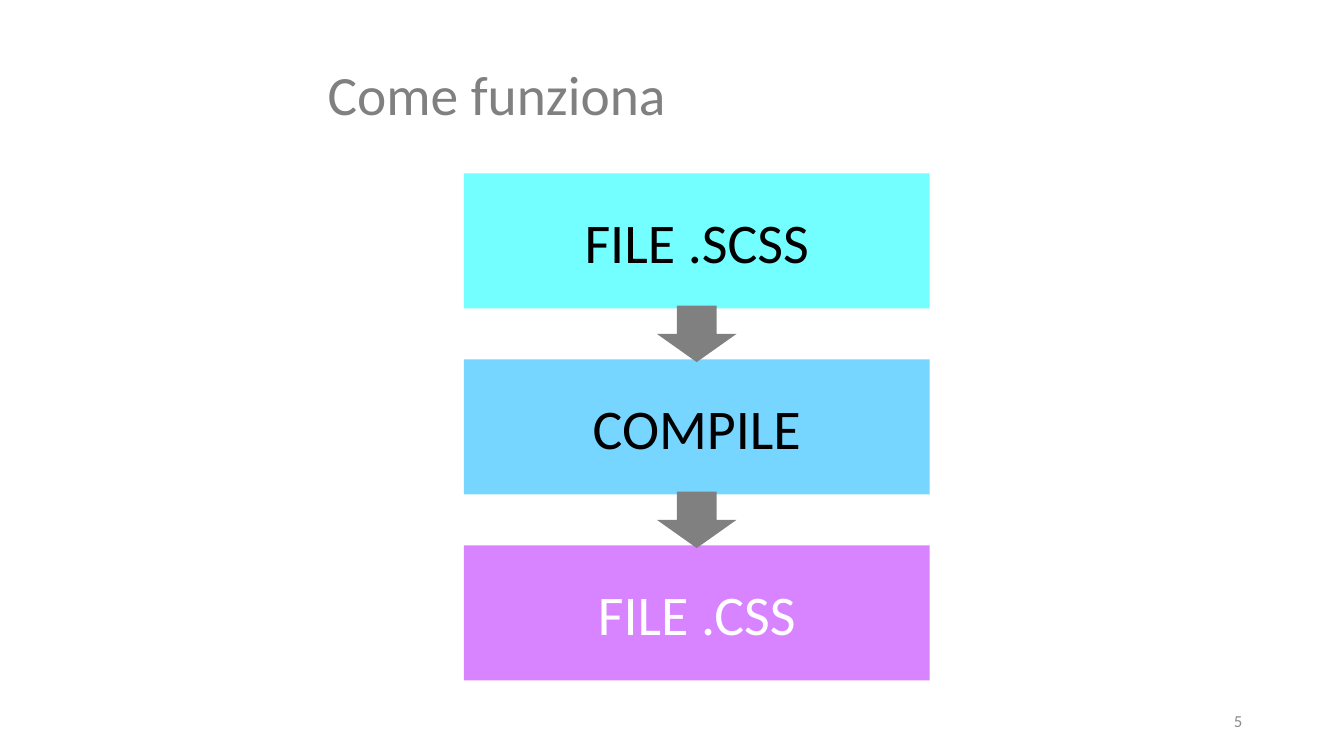
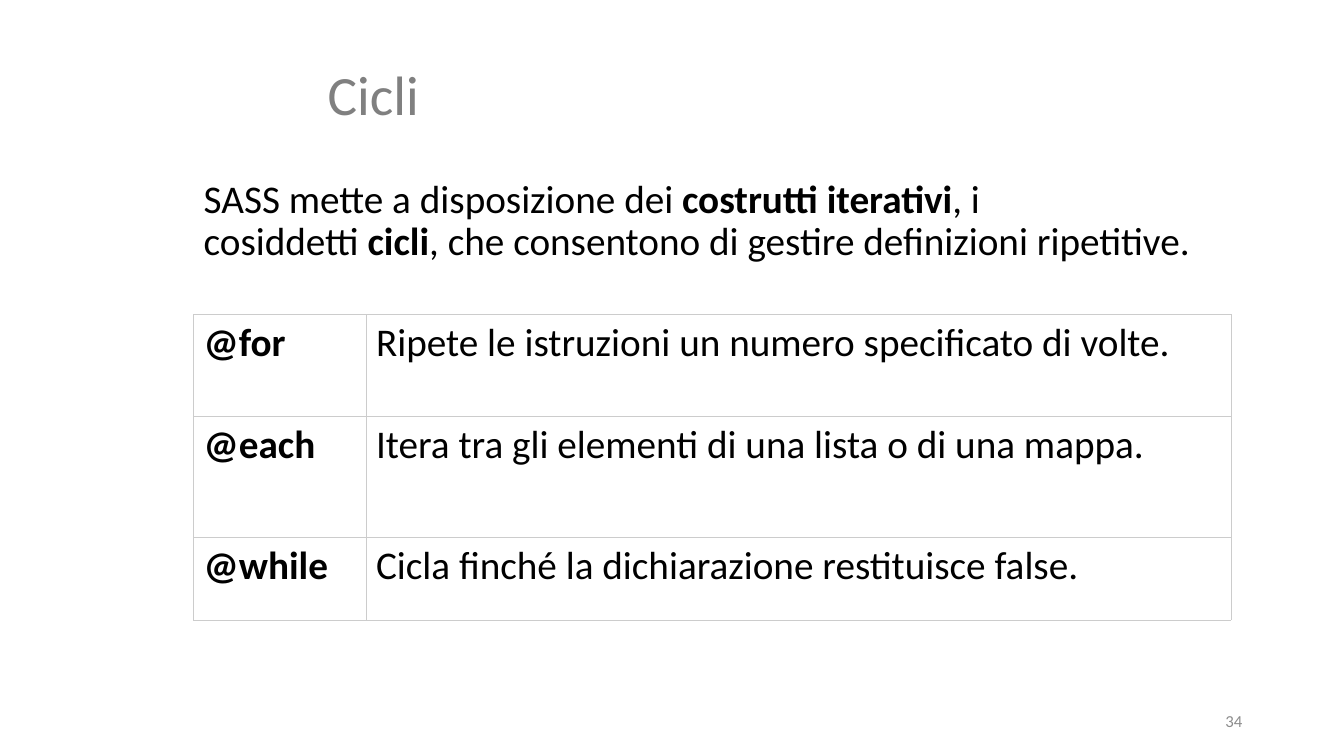
from lxml import etree
from pptx import Presentation
from pptx.dml.color import RGBColor
from pptx.enum.shapes import MSO_SHAPE
from pptx.enum.text import MSO_ANCHOR, MSO_AUTO_SIZE, PP_ALIGN
from pptx.oxml.ns import qn
from pptx.util import Inches, Pt

RECTANGLE, DOWN_ARROW = MSO_SHAPE.RECTANGLE, MSO_SHAPE.DOWN_ARROW
LEFT, CENTER, RIGHT = PP_ALIGN.LEFT, PP_ALIGN.CENTER, PP_ALIGN.RIGHT
TOP, MIDDLE = MSO_ANCHOR.TOP, MSO_ANCHOR.MIDDLE
CONTENT_LAYOUT, TITLE_ONLY_LAYOUT = 1, 5

FONT = "Calibri"
BLACK, WHITE, GRAY = "000000", "FFFFFF", "808080"
NUMBER_GRAY, BORDER_GRAY = "8C8C8C", "CCCCCC"

# Content
FLOW_TITLE, FLOW_NUMBER = "Come funziona", "5"
FLOW_STEPS = [
    ("FILE .SCSS", "73FEFF", BLACK),
    ("COMPILE", "76D6FF", BLACK),
    ("FILE .CSS", "D883FF", WHITE),
]
LOOPS_TITLE, LOOPS_NUMBER = "Cicli", "34"
LOOPS_INTRO = [
    ("SASS mette a disposizione dei ", False),
    ("costrutti iterativi", True),
    (", i cosiddetti\u00a0", False),
    ("cicli", True),
    (", che consentono di gestire definizioni ripetitive.", False),
]
LOOPS = [
    ("@for", "Ripete le istruzioni un numero specificato di volte."),
    ("@each", "Itera tra gli elementi di una lista o di una mappa."),
    ("@while", "Cicla finché la dichiarazione restituisce false."),
]

# Layout, in inches
TITLE_BOX = (3.15, 0.68, 9.08, 0.58)
NUMBER_BOX = (9.42, 6.95, 3, 0.4)
STEP_LEFT, STEP_WIDTH, STEP_HEIGHT = 4.6, 4.62, 1.34
FLOW_TOP, FLOW_BOTTOM = 1.72, 6.75
ARROW_WIDTH, ARROW_HEIGHT = 0.79, 0.56
INTRO_BOX = (1.92, 1.73, 10.31, 4.81)
TABLE_LEFT, TABLE_TOP = 1.92, 3.12
COLUMN_WIDTHS, ROW_HEIGHTS = (1.71, 8.58), (1.01, 1.2, 0.82)


def color(hex_string):
    """Turn a hex string into a colour."""
    return RGBColor.from_string(hex_string)


def place(shape, box):
    """Move and size a shape to a box given in inches."""
    shape.left, shape.top, shape.width, shape.height = map(Inches, box)


def format_runs(paragraph, size, hex_string, bold=False):
    """Apply font, size, colour and weight to every run of a paragraph."""
    for run in paragraph.runs:
        run.font.name, run.font.size = FONT, Pt(size)
        run.font.bold = bold
        run.font.color.rgb = color(hex_string)


def write(text_frame, text, size, hex_string, align=LEFT, anchor=MIDDLE):
    """Set one formatted paragraph in a text frame."""
    text_frame.text = text
    text_frame.word_wrap = True
    text_frame.auto_size = MSO_AUTO_SIZE.NONE
    text_frame.vertical_anchor = anchor
    paragraph = text_frame.paragraphs[0]
    paragraph.alignment = align
    format_runs(paragraph, size, hex_string)
    return paragraph


def add_slide(presentation, layout, title, number):
    """Add a slide with the shared title and page number."""
    slide = presentation.slides.add_slide(presentation.slide_layouts[layout])
    place(slide.shapes.title, TITLE_BOX)
    write(slide.shapes.title.text_frame, title, 39.6, GRAY).line_spacing = 0.9
    number_box = slide.shapes.add_textbox(*map(Inches, NUMBER_BOX))
    write(number_box.text_frame, number, 12, NUMBER_GRAY, RIGHT)
    return slide


def add_block(slide, kind, box, fill):
    """Add a flat filled shape without outline or shadow."""
    shape = slide.shapes.add_shape(kind, *map(Inches, box))
    shape.shadow.inherit = False
    shape.fill.solid()
    shape.fill.fore_color.rgb = color(fill)
    shape.line.fill.background()
    return shape


def add_flow(slide):
    """Stack the steps evenly, with an arrow centred on each gap."""
    pitch = (FLOW_BOTTOM - FLOW_TOP - STEP_HEIGHT) / (len(FLOW_STEPS) - 1)
    tops = [FLOW_TOP + index * pitch for index in range(len(FLOW_STEPS))]
    for top, (label, fill, text_color) in zip(tops, FLOW_STEPS):
        step = add_block(slide, RECTANGLE, (STEP_LEFT, top, STEP_WIDTH, STEP_HEIGHT), fill)
        write(step.text_frame, label, 40, text_color, CENTER)
    arrow_left = STEP_LEFT + (STEP_WIDTH - ARROW_WIDTH) / 2
    for top in tops[1:]:
        gap_middle = top - (pitch - STEP_HEIGHT) / 2
        arrow_top = gap_middle - ARROW_HEIGHT / 2
        add_block(slide, DOWN_ARROW, (arrow_left, arrow_top, ARROW_WIDTH, ARROW_HEIGHT), GRAY)


def add_intro(slide):
    """Fill the body placeholder with the introduction, without a bullet."""
    body = slide.placeholders[1]
    place(body, INTRO_BOX)
    paragraph = write(body.text_frame, "", 28, BLACK, anchor=TOP)
    paragraph.line_spacing, paragraph.space_before = 0.9, Pt(10)
    for text, _ in LOOPS_INTRO:
        paragraph.add_run().text = text
    format_runs(paragraph, 28, BLACK)
    for run, (_, bold) in zip(paragraph.runs, LOOPS_INTRO):
        run.font.bold = bold
    properties = paragraph._p.get_or_add_pPr()
    properties.set("marL", "0")
    properties.set("indent", "0")
    etree.SubElement(properties, qn("a:buNone"))


def add_borders(cell):
    """Draw a thin line on all four sides of a cell."""
    properties = cell._tc.get_or_add_tcPr()
    for index, side in enumerate(("a:lnL", "a:lnR", "a:lnT", "a:lnB")):
        line = etree.Element(qn(side), w=str(Pt(0.5)))
        fill = etree.SubElement(line, qn("a:solidFill"))
        etree.SubElement(fill, qn("a:srgbClr"), val=BORDER_GRAY)
        properties.insert(index, line)


def add_loop_table(slide):
    """Add the table of loop directives."""
    table = slide.shapes.add_table(
        len(LOOPS), len(COLUMN_WIDTHS), Inches(TABLE_LEFT), Inches(TABLE_TOP),
        Inches(sum(COLUMN_WIDTHS)), Inches(sum(ROW_HEIGHTS))).table
    table.first_row = table.horz_banding = False
    for column, width in zip(table.columns, COLUMN_WIDTHS):
        column.width = Inches(width)
    for row, height, texts in zip(table.rows, ROW_HEIGHTS, LOOPS):
        row.height = Inches(height)
        for index, (cell, text) in enumerate(zip(row.cells, texts)):
            cell.text = text
            format_runs(cell.text_frame.paragraphs[0], 28, BLACK, bold=index == 0)
            cell.fill.solid()
            cell.fill.fore_color.rgb = color(WHITE)
            add_borders(cell)


def main():
    """Build and save the presentation."""
    presentation = Presentation()
    presentation.slide_width, presentation.slide_height = Inches(13.33), Inches(7.5)
    add_flow(add_slide(presentation, TITLE_ONLY_LAYOUT, FLOW_TITLE, FLOW_NUMBER))
    loops_slide = add_slide(presentation, CONTENT_LAYOUT, LOOPS_TITLE, LOOPS_NUMBER)
    add_intro(loops_slide)
    add_loop_table(loops_slide)
    presentation.save("out.pptx")


main()
